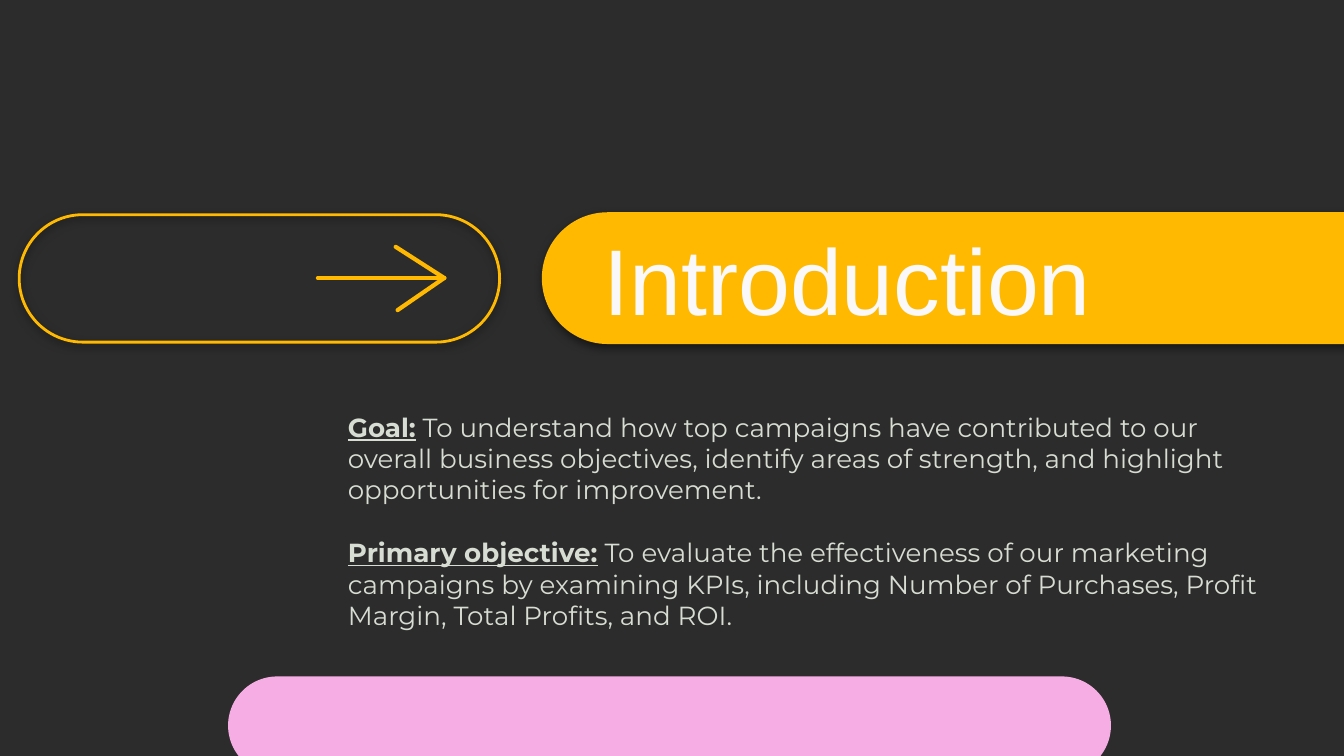
from lxml import etree
from pptx import Presentation
from pptx.dml.color import RGBColor
from pptx.enum import shapes as sh, text as tx
from pptx.oxml import ns
from pptx.util import Pt

COLORS = {
    "background": "2C2C2C",
    "amber": "FFB900",
    "pink": "F5ADE4",
    "title": "FAF8F8",
    "body": "D7DDD2",
    "shadow": "000000",
}

STATEMENTS = [
    ("Goal:", " To understand how top campaigns have contributed to our overall "
     "business objectives, identify areas of strength, and highlight "
     "opportunities for improvement."),
    ("Primary objective:", " To evaluate the effectiveness of our marketing "
     "campaigns by examining KPIs, including Number of Purchases, Profit "
     "Margin, Total Profits, and ROI."),
]


def rgb(name):
    return RGBColor.from_string(COLORS[name])


def add_soft_shadow(shape):
    effects = shape._element.spPr.find(ns.qn("a:effectLst"))
    shadow = etree.SubElement(effects, ns.qn("a:outerShdw"), blurRad=str(Pt(4.5)),
                              dist=str(Pt(1.5)), dir="5400000", algn="bl",
                              rotWithShape="0")
    color = etree.SubElement(shadow, ns.qn("a:srgbClr"), val=COLORS["shadow"])
    etree.SubElement(color, ns.qn("a:alpha"), val="50000")


def add_pill(slide, box, fill=None, line=None, shadow=False):
    pill = slide.shapes.add_shape(sh.MSO_SHAPE.ROUNDED_RECTANGLE, *map(Pt, box))
    pill.adjustments[0] = 0.5
    pill.shadow.inherit = False
    if fill:
        pill.fill.solid()
        pill.fill.fore_color.rgb = rgb(fill)
    else:
        pill.fill.background()
    if line:
        pill.line.color.rgb = rgb(line)
        pill.line.width = Pt(1.5)
    else:
        pill.line.fill.background()
    if shadow:
        add_soft_shadow(pill)


def add_text_frame(slide, box):
    frame = slide.shapes.add_textbox(*map(Pt, box)).text_frame
    frame.word_wrap = True
    frame.vertical_anchor = tx.MSO_ANCHOR.MIDDLE
    frame.margin_left = frame.margin_right = Pt(7.2)
    frame.margin_top = frame.margin_bottom = Pt(7.2)
    return frame


def add_run(paragraph, words, font, size, color, strong=False):
    run = paragraph.add_run()
    run.text = words
    run.font.name = font
    run.font.size = Pt(size)
    run.font.color.rgb = rgb(color)
    run.font.bold = run.font.underline = strong


def add_title_banner(slide, box):
    left, top, width, height = box
    add_pill(slide, box, fill="amber", shadow=True)
    # The heading is taller than the banner
    title = add_text_frame(slide, (left + 25.9, top - 19.4, 387.4, 109.4))
    add_run(title.paragraphs[0], "Introduction", "Arial", 50, "title")


def add_statements(slide, box):
    frame = add_text_frame(slide, box)
    for index, (label, statement) in enumerate(STATEMENTS):
        paragraph = frame.add_paragraph() if index else frame.paragraphs[0]
        if index:
            paragraph.space_before = Pt(17)
        add_run(paragraph, label, "Montserrat", 14, "body", strong=True)
        add_run(paragraph, statement, "Montserrat", 14, "body")


def add_arrow_pill(slide, box):
    left, top, width, height = box
    add_pill(slide, box, line="amber", shadow=True)
    # Arrow: a shaft and two barbs meeting at the tip
    tip_x, tip_y = left + 227.7, top + height / 2 - 0.2
    arrow = slide.shapes.add_group_shape()
    for dx, dy in [(-67.7, 0), (-26, -16.7), (-25, 17.2)]:
        stroke = arrow.shapes.add_connector(
            sh.MSO_CONNECTOR.STRAIGHT,
            Pt(tip_x + dx), Pt(tip_y + dy), Pt(tip_x), Pt(tip_y))
        stroke.line.color.rgb = rgb("amber")
        stroke.line.width = Pt(2.25)
        stroke.line._ln.set("cap", "rnd")
        etree.SubElement(stroke._element.spPr, ns.qn("a:effectLst"))


def main():
    deck = Presentation()
    deck.slide_width, deck.slide_height = Pt(720), Pt(405)
    slide = deck.slides.add_slide(deck.slide_layouts[6])
    slide.background.fill.solid()
    slide.background.fill.fore_color.rgb = rgb("background")

    # Pink footer pill, running past the bottom edge
    add_pill(slide, (122.2, 362.4, 473, 52.6), fill="pink")
    add_title_banner(slide, (290.3, 113.7, 530.6, 70.6))
    add_statements(slide, (179.3, 203.8, 513.4, 150.5))
    add_arrow_pill(slide, (10.3, 115, 257.4, 68.3))

    deck.save("out.pptx")


if __name__ == "__main__":
    main()
